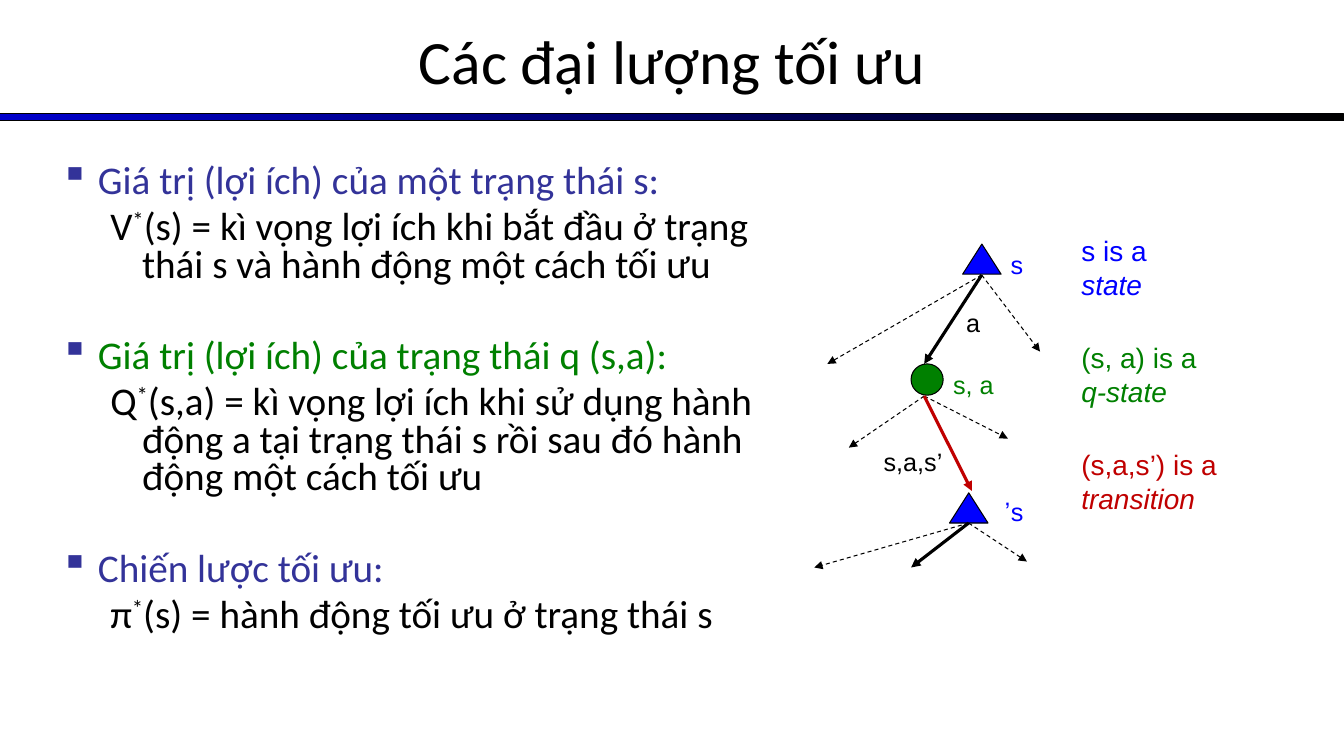
from lxml.etree import SubElement
from pptx import Presentation
from pptx.dml.color import RGBColor
from pptx.enum.dml import MSO_LINE
from pptx.enum.shapes import MSO_CONNECTOR, MSO_SHAPE
from pptx.enum.text import MSO_ANCHOR, MSO_AUTO_SIZE, PP_ALIGN
from pptx.oxml.ns import qn
from pptx.util import Cm, Pt

BLACK = RGBColor(0x00, 0x00, 0x00)
BLUE = RGBColor(0x00, 0x00, 0xFF)
NAVY = RGBColor(0x00, 0x00, 0xCC)
INDIGO = RGBColor(0x33, 0x33, 0x99)
GREEN = RGBColor(0x00, 0x80, 0x00)
RED = RGBColor(0xC0, 0x00, 0x00)


class Deck:
    head = "Calibri"
    small = "Arial"

    def __init__(self):
        self.prs = Presentation()
        self.prs.slide_width = Cm(33.87)
        self.prs.slide_height = Cm(19.05)
        self.slide = self.prs.slides.add_slide(self.prs.slide_layouts[5])
        self.shapes = self.slide.shapes

    def run(self, para, text, font, size, color, italic=False, raised=False):
        run = para.add_run()
        run.text = text
        run.font.name = font
        run.font.size = Pt(size)
        run.font.color.rgb = color
        if italic:
            run.font.italic = True
        if raised:
            run.font._element.set("baseline", "30000")

    def title(self, text, x, y, w, h):
        box = self.shapes.title
        box.left, box.top, box.width, box.height = Cm(x), Cm(y), Cm(w), Cm(h)
        frame = box.text_frame
        frame.auto_size = MSO_AUTO_SIZE.NONE
        frame.vertical_anchor = MSO_ANCHOR.MIDDLE
        para = frame.paragraphs[0]
        para.alignment = PP_ALIGN.CENTER
        self.run(para, text, self.head, 44, BLACK)

    def shape(self, kind, x, y, w, h, color=None):
        item = self.shapes.add_shape(kind, Cm(x), Cm(y), Cm(w), Cm(h))
        item.shadow.inherit = False
        item.line.color.rgb = BLACK
        item.line.width = Pt(0.75)
        if color is not None:
            item.fill.solid()
            item.fill.fore_color.rgb = color
        return item

    def bar(self, x, y, w, h):
        item = self.shape(MSO_SHAPE.RECTANGLE, x, y, w, h)
        item.fill.gradient()
        item.fill.gradient_angle = 0
        for stop, place, color in zip(item.fill.gradient_stops, (0, 1), (NAVY, BLACK)):
            stop.position = place
            stop.color.rgb = color

    def arrow(self, start, end, color=BLACK, bold=False):
        line = self.shapes.add_connector(
            MSO_CONNECTOR.STRAIGHT, *(Cm(v) for v in start + end))
        line.line.color.rgb = color
        line.line.width = Pt(2.25 if bold else 0.75)
        if not bold:
            line.line.dash_style = MSO_LINE.DASH
        SubElement(line.line._get_or_add_ln(), qn("a:tailEnd"), type="triangle")
        SubElement(line._element.spPr, qn("a:effectLst"))

    def box(self, x, y, w, h):
        frame = self.shapes.add_textbox(Cm(x), Cm(y), Cm(w), Cm(h)).text_frame
        frame.word_wrap = True
        return frame

    def label(self, text, x, y, w, h, color, rtl=False):
        para = self.box(x, y, w, h).paragraphs[0]
        if rtl:
            para.alignment = PP_ALIGN.RIGHT
            para._p.get_or_add_pPr().set("rtl", "1")
        self.run(para, text, self.small, 18, color)

    def note(self, lead, term, y, w, color, split=False):
        para = self.box(27, y, w, 1.96).paragraphs[0]
        self.run(para, lead, self.small, 20, color)
        if split:
            para.add_line_break()
        self.run(para, term, self.small, 20, color, italic=True)

    def indent(self, para, left, hang, gap):
        para.line_spacing = 0.8
        para.space_before = Pt(gap)
        props = para._p.get_or_add_pPr()
        props.set("marL", str(Cm(left)))
        props.set("indent", str(-Cm(hang)))
        return props

    def points(self, items, x, y, w, h):
        frame = self.box(x, y, w, h)
        for i, (name, color, sign, text) in enumerate(items):
            para = frame.add_paragraph() if i else frame.paragraphs[0]
            props = self.indent(para, 0.95, 0.95, 38.3 if i else 0)
            tint = SubElement(props, qn("a:buClr"))
            SubElement(tint, qn("a:srgbClr"), val=str(INDIGO))
            SubElement(props, qn("a:buChar"), char="▪")
            self.run(para, name, self.head, 28, color)

            para = frame.add_paragraph()
            props = self.indent(para, 2.06, 0.8, 6.1)
            props.set("lvl", "1")
            SubElement(props, qn("a:buNone"))
            self.run(para, sign, self.head, 28, BLACK)
            self.run(para, "*", self.head, 28, BLACK, raised=True)
            self.run(para, text, self.head, 28, BLACK)


def main():
    deck = Deck()
    deck.bar(0, 2.87, 33.87, 0.18)
    deck.title("Các đại lượng tối ưu", 0, -0.08, 33.87, 3.18)
    deck.points([
        ("Giá trị (lợi ích) của một trạng thái s:", INDIGO, "V",
         "(s) = kì vọng lợi ích khi bắt đầu ở trạng thái s và hành động "
         "một cách tối ưu"),
        ("Giá trị (lợi ích) của trạng thái q (s,a):", GREEN, "Q",
         "(s,a) = kì vọng lợi ích khi sử dụng hành động a tại trạng thái s "
         "rồi sau đó hành động một cách tối ưu"),
        ("Chiến lược tối ưu:", INDIGO, "π",
         "(s) = hành động tối ưu ở trạng thái s"),
    ], 1.27, 4.01, 18.62, 12.9)

    for x, y in ((24.26, 6.15), (23.93, 12.42)):
        deck.shape(MSO_SHAPE.ISOSCELES_TRIANGLE, x, y, 0.97, 0.76, BLUE)
    deck.shape(MSO_SHAPE.OVAL, 22.96, 9.17, 0.81, 0.79, GREEN)

    fans = [
        ((24.74, 6.93), [(20.85, 9.17), (26.21, 8.86)], (23.29, 9.17), BLACK),
        ((23.29, 9.98), [(21.39, 11.28), (25.4, 11.05)], (24.49, 12.37), RED),
        ((24.41, 13.18), [(20.52, 14.3), (25.88, 14.15)], (22.96, 14.3), BLACK),
    ]
    for start, sides, main_end, color in fans:
        for end in sides:
            deck.arrow(start, end)
        deck.arrow(start, main_end, color, bold=True)

    deck.label("a", 24.1, 7.62, 0.81, 0.76, BLACK)
    deck.label("s", 25.22, 6.15, 0.81, 1.02, BLUE)
    deck.label("s’", 24.97, 12.37, 1.07, 1.02, BLUE, rtl=True)
    deck.label("s, a", 23.77, 9.17, 1.63, 1.02, GREEN)
    deck.label("s,a,s’", 22.02, 11.13, 2.29, 0.76, BLACK)

    deck.note("s is a ", "state", 5.77, 2.92, BLUE)
    deck.note("(s, a) is a ", "q-state", 8.46, 3.61, GREEN)
    deck.note("(s,a,s’) is a ", "transition", 11.15, 6.02, RED, split=True)
    deck.prs.save("out.pptx")


if __name__ == "__main__":
    main()
